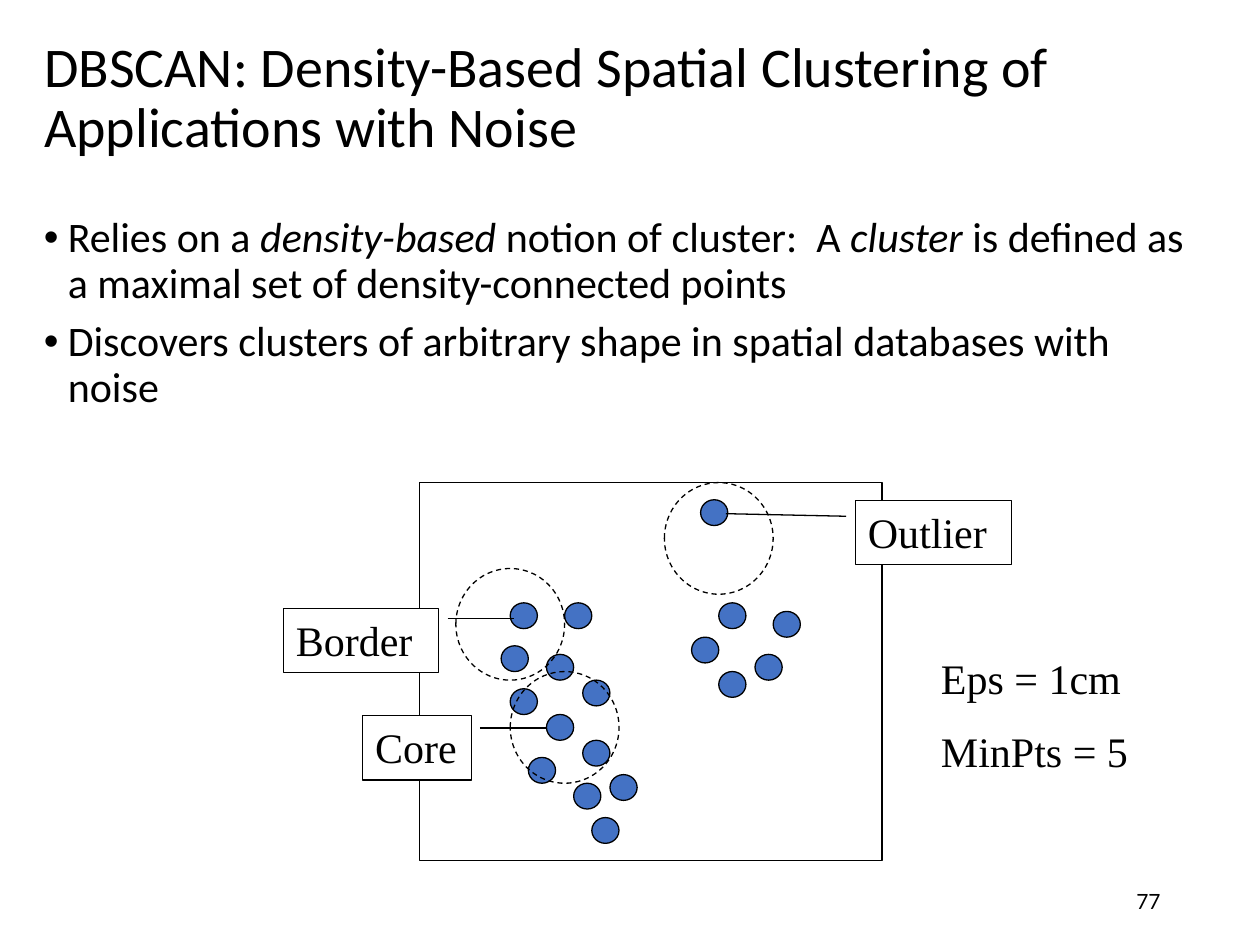
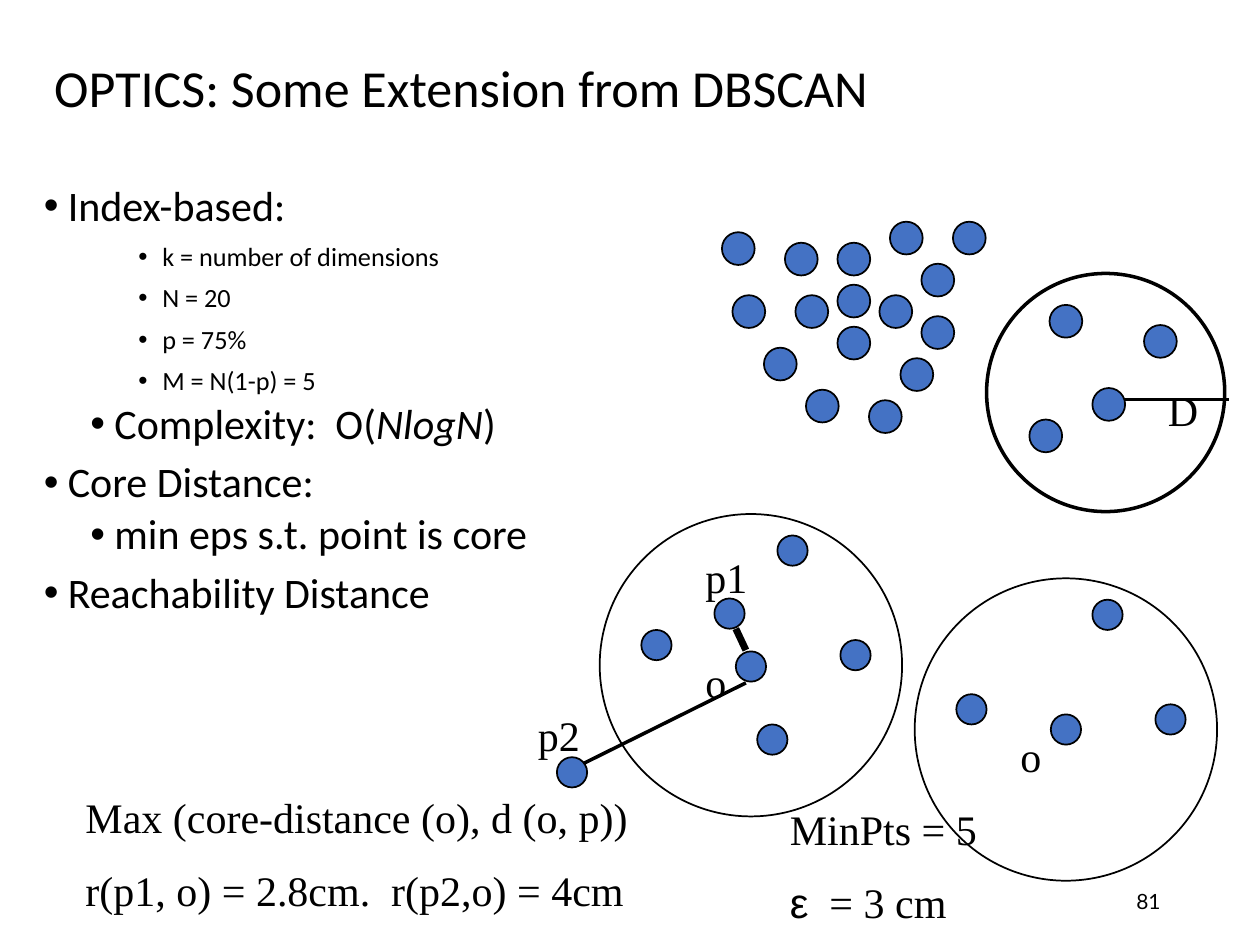
import pptx
import pptx.util
import pptx.dml.color
import pptx.enum.dml
import pptx.enum.shapes
import pptx.enum.text
import pptx.oxml.ns
from lxml import etree

BLACK, WHITE, POINT_BLUE = "000000", "FFFFFF", "4472C4"
BODY_FONT, LABEL_FONT, NUMBER_FONT, SYMBOL_FONT = "Calibri", "Times New Roman", "Lato", "Arial"
CM_PER_INCH = 2.54
NUMBER_BOX = (7.06, 6.95, 2.25, 0.4)
BULLET_HANG = 0.19
BULLET_STYLES = {
    "main": dict(level=0, indent=0.19, size=24, before=7.5),
    "sub": dict(level=1, indent=0.56, size=24, before=3.8),
    "detail": dict(level=2, indent=0.94, size=15, before=7.5),
}

DBSCAN = dict(
    title="DBSCAN: Density-Based Spatial Clustering of Applications with Noise",
    title_box=(0.25, 0.25, 9.33, 1.08),
    title_size=32,
    body_box=(0.25, 1.67, 9.33, 5.5),
    bullets=[
        ("main", "Relies on a *density-based* notion of cluster:  A *cluster* is defined as "
                 "a maximal set of density-connected points"),
        ("main", "Discovers clusters of arbitrary shape in spatial databases with noise"),
    ],
    number="77",
)
FRAME = (3.33, 3.83, 3.67, 3)
FRAME_COLUMNS, FRAME_ROWS = 51, 44
DATA_POINTS = [
    (10, 14), (9, 19), (14, 20), (16, 14), (18, 23), (10, 24), (14, 27), (12, 32), (17, 35),
    (19, 39), (18, 30), (31, 2), (33, 14), (30, 18), (37, 20), (39, 15), (33, 22), (21, 34),
]
NEIGHBOURHOODS = [(4, 10), (10, 22), (27, 0)]
CALLOUTS = [
    ("Core", (2.88, 5.68, 0.86, 0.51), (0.19, 1.08, 0.19, 1.69)),
    ("Border", (2.25, 4.83, 1.23, 0.51), (0.15, 1.06, 0.15, 1.49)),
    ("Outlier", (6.79, 3.97, 1.24, 0.51), (0.25, -0.06, 0.21, -0.83)),
]
DBSCAN_PARAMETERS = (["Eps = 1cm", "MinPts = 5"], (7.37, 5.13, 1.8, 1.1))

OPTICS = dict(
    title="OPTICS: Some Extension from DBSCAN",
    title_box=(0.33, 0.48, 9.25, 0.48),
    title_size=29.7,
    body_box=(0.25, 1.42, 5.67, 4.33),
    bullets=[
        ("main", "Index-based:"),
        ("detail", "k = number of dimensions"),
        ("detail", "N = 20"),
        ("detail", "p = 75%"),
        ("detail", "M = N(1-p) = 5"),
        ("sub", "Complexity:  O(*NlogN*)"),
        ("main", "Core Distance:"),
        ("sub", "min eps s.t. point is core"),
        ("main", "Reachability Distance"),
    ],
    number="81",
)
CLOUD_ORIGIN = (5.73, 1.76)
CLOUD_STEP = 1 / 12
CLOUD_POINTS = [
    (6, 2), (7, 7), (11, 6), (4, 12), (15, 7), (11, 2), (8, 16), (19, 4), (16, 0),
    (19, 9), (17, 13), (11, 10), (1, 7), (14, 17), (22, 0), (0, 1),
]
RADIUS_POINTS = [(9.08, 2.58), (8.17, 3.33), (8.67, 3.08), (8.33, 2.42)]
REACHABILITY_POINTS = [
    (5.67, 4.75), (5.09, 5), (5.84, 5.17), (6.01, 5.75), (6.67, 5.08), (6.17, 4.25),
    (7.59, 5.51), (8.34, 5.67), (9.17, 5.59), (8.67, 4.76), (4.42, 6.01),
]
CIRCLES = [(7.83, 2.17, 1.89, 2), (4.76, 4.08, 2.4, 1), (7.26, 4.59, 2.4, 1)]
DISTANCES = [
    ((8.92, 3.17), (9.75, 3.17), 2),
    ((5.84, 4.99), (5.92, 5.16), 4),
    ((5.92, 5.42), (4.59, 6.08), 2),
]
OPTICS_LABELS = [
    (["D"], (9.17, 3, 0.48, 0.5)),
    (["p2"], (4.17, 5.58, 0.58, 0.5)),
    (["o"], (5.5, 5.16, 0.58, 0.5)),
    (["o"], (8, 5.75, 0.58, 0.5)),
    (["p1"], (5.5, 4.33, 0.58, 0.5)),
    (["MinPts = 5", "*ε*  = 3 cm"], (6.17, 6.33, 1.92, 1.1)),
    (["Max (core-distance (o), d (o, p))", "r(p1, o) = 2.8cm.  r(p2,o) = 4cm"],
     (0.58, 6.23, 4.75, 1.1)),
]


def length(inches):
    return pptx.util.Cm(inches * CM_PER_INCH)


def lengths(box):
    return [length(value) for value in box]


def color(value):
    return pptx.dml.color.RGBColor.from_string(value)


def write_runs(paragraph, text, size, font, accent_font=None):
    for index, part in enumerate(text.split("*")):
        if not part:
            continue
        run = paragraph.add_run()
        run.text = part
        run.font.size = pptx.util.Pt(size)
        run.font.color.rgb = color(BLACK)
        accented = index % 2 == 1
        run.font.name = accent_font if accented and accent_font else font
        run.font.italic = accented and accent_font is None


def paragraphs_for(text_frame, count):
    for _ in range(count - 1):
        text_frame.add_paragraph()
    return text_frame.paragraphs


def add_text_box(slide, box):
    text_frame = slide.shapes.add_textbox(*lengths(box)).text_frame
    text_frame.word_wrap = True
    return text_frame


def write_label(text_frame, lines):
    text_frame.word_wrap = True
    text_frame.auto_size = pptx.enum.text.MSO_AUTO_SIZE.SHAPE_TO_FIT_TEXT
    for index, (paragraph, line) in enumerate(zip(paragraphs_for(text_frame, len(lines)), lines)):
        paragraph.alignment = pptx.enum.text.PP_ALIGN.LEFT
        paragraph.space_before = pptx.util.Pt(13 if index else 0)
        write_runs(paragraph, line, 24, LABEL_FONT, SYMBOL_FONT)


def add_bullets(slide, box, bullets):
    text_frame = add_text_box(slide, box)
    for index, (paragraph, (style_name, text)) in enumerate(
            zip(paragraphs_for(text_frame, len(bullets)), bullets)):
        style = BULLET_STYLES[style_name]
        paragraph.level = style["level"]
        paragraph.line_spacing = 0.9
        paragraph.space_before = pptx.util.Pt(style["before"] if index else 0)
        write_runs(paragraph, text, style["size"], BODY_FONT)
        properties = paragraph._p.get_or_add_pPr()
        properties.set("marL", str(length(style["indent"])))
        properties.set("indent", str(-length(BULLET_HANG)))
        qualified = pptx.oxml.ns.qn
        etree.SubElement(properties, qualified("a:buFont")).set("typeface", "Arial")
        etree.SubElement(properties, qualified("a:buChar")).set("char", "•")


def add_outlined(slide, kind, box, fill=None, width=1, dashed=False):
    shape = slide.shapes.add_shape(kind, *lengths(box))
    shape.shadow.inherit = False
    if fill:
        shape.fill.solid()
        shape.fill.fore_color.rgb = color(fill)
    else:
        shape.fill.background()
    shape.line.color.rgb = color(BLACK)
    shape.line.width = pptx.util.Pt(width)
    if dashed:
        shape.line.dash_style = pptx.enum.dml.MSO_LINE.DASH
    return shape


def add_ellipse(slide, box, **style):
    return add_outlined(slide, pptx.enum.shapes.MSO_SHAPE.OVAL, box, **style)


def add_distance(slide, start, end, width):
    connector = slide.shapes.add_connector(
        pptx.enum.shapes.MSO_CONNECTOR.STRAIGHT, *lengths(start + end))
    connector.line.color.rgb = color(BLACK)
    connector.line.width = pptx.util.Pt(width)
    etree.SubElement(connector._element.spPr, pptx.oxml.ns.qn("a:effectLst"))


def add_content_slide(presentation, content):
    slide = presentation.slides.add_slide(presentation.slide_layouts[5])
    title = slide.shapes.title
    title.left, title.top, title.width, title.height = lengths(content["title_box"])
    text_frame = title.text_frame
    text_frame.text = content["title"]
    text_frame.word_wrap = True
    text_frame.auto_size = pptx.enum.text.MSO_AUTO_SIZE.NONE
    text_frame.vertical_anchor = pptx.enum.text.MSO_ANCHOR.MIDDLE
    paragraph = text_frame.paragraphs[0]
    paragraph.alignment = pptx.enum.text.PP_ALIGN.LEFT
    paragraph.line_spacing = 0.9
    font = paragraph.runs[0].font
    font.name, font.size = BODY_FONT, pptx.util.Pt(content["title_size"])
    font.color.rgb = color(BLACK)

    add_bullets(slide, content["body_box"], content["bullets"])

    number = add_text_box(slide, NUMBER_BOX)
    number.vertical_anchor = pptx.enum.text.MSO_ANCHOR.MIDDLE
    number.paragraphs[0].alignment = pptx.enum.text.PP_ALIGN.RIGHT
    write_runs(number.paragraphs[0], content["number"], 12, NUMBER_FONT)
    return slide


def build_dbscan(presentation):
    slide = add_content_slide(presentation, DBSCAN)
    left, top, width, height = FRAME
    column, row = width / FRAME_COLUMNS, height / FRAME_ROWS

    def cell_box(position, columns, rows):
        x, y = position
        return left + x * column, top + y * row, columns * column, rows * row

    for position in DATA_POINTS:
        add_ellipse(slide, cell_box(position, 3, 3), fill=POINT_BLUE, width=0.75)
    add_outlined(slide, pptx.enum.shapes.MSO_SHAPE.RECTANGLE, FRAME, width=0.75)
    for position in NEIGHBOURHOODS:
        add_ellipse(slide, cell_box(position, 12, 13), width=0.75, dashed=True)
    for text, box, pointer in CALLOUTS:
        callout = add_outlined(
            slide, pptx.enum.shapes.MSO_SHAPE.LINE_CALLOUT_1, box, fill=WHITE, width=0.75)
        for index, value in enumerate(pointer):
            callout.adjustments[index] = value
        callout.text_frame.vertical_anchor = pptx.enum.text.MSO_ANCHOR.TOP
        write_label(callout.text_frame, [text])
    lines, box = DBSCAN_PARAMETERS
    write_label(add_text_box(slide, box), lines)


def build_optics(presentation):
    slide = add_content_slide(presentation, OPTICS)
    cloud_left, cloud_top = CLOUD_ORIGIN
    cloud = [(cloud_left + x * CLOUD_STEP, cloud_top + y * CLOUD_STEP) for x, y in CLOUD_POINTS]
    for x, y, diameter, width in CIRCLES:
        add_ellipse(slide, (x, y, diameter, diameter), width=width)
    for distance in DISTANCES:
        add_distance(slide, *distance)
    for points, diameter in ((cloud + RADIUS_POINTS, 0.26), (REACHABILITY_POINTS, 0.24)):
        for x, y in points:
            add_ellipse(slide, (x, y, diameter, diameter), fill=POINT_BLUE)
    for lines, box in OPTICS_LABELS:
        write_label(add_text_box(slide, box), lines)


def main():
    presentation = pptx.Presentation()
    presentation.slide_width, presentation.slide_height = lengths((10, 7.5))
    build_dbscan(presentation)
    build_optics(presentation)
    presentation.save("out.pptx")


if __name__ == "__main__":
    main()
